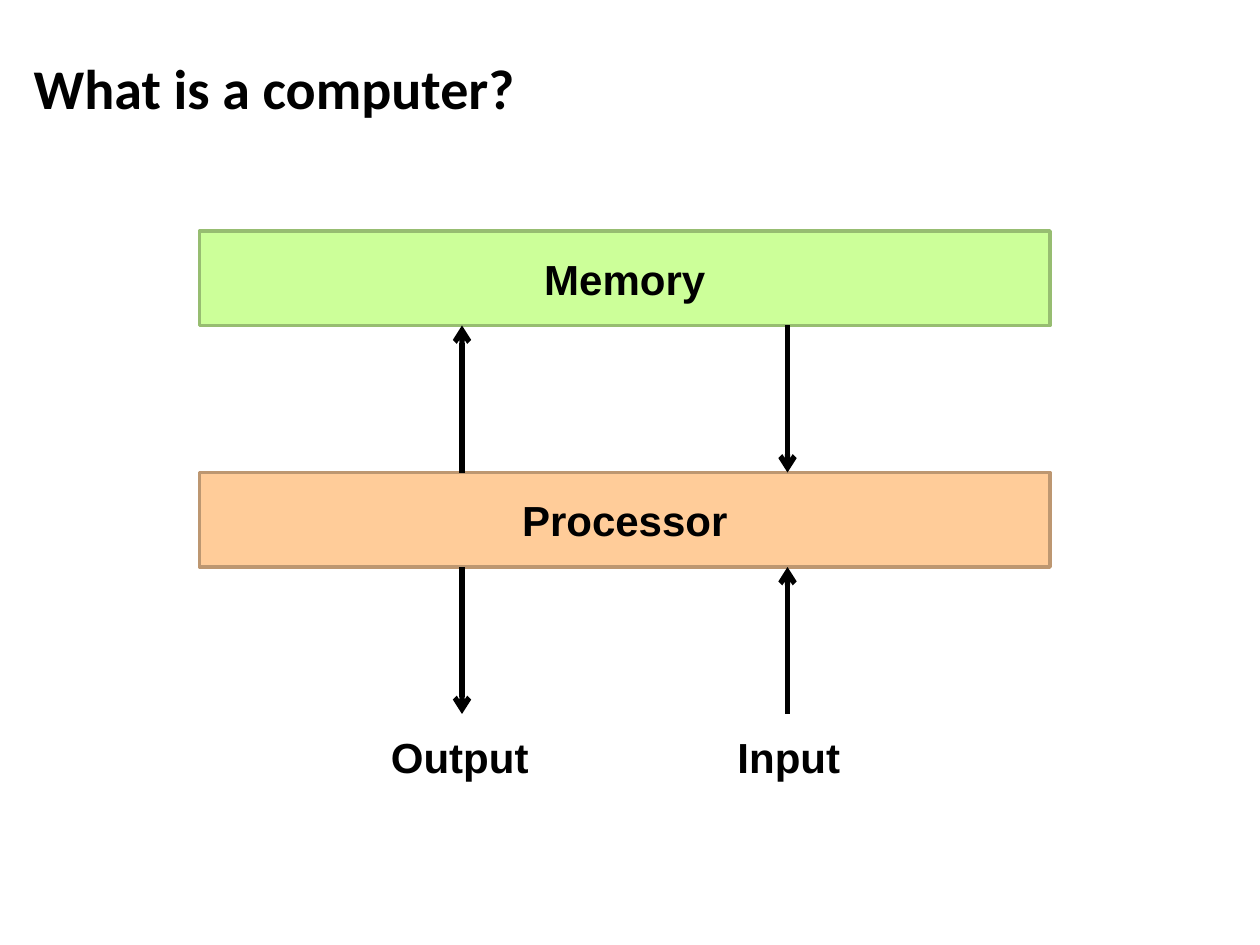
from dataclasses import dataclass

from lxml import etree
from pptx import Presentation
from pptx.dml.color import RGBColor
from pptx.enum import shapes, text
from pptx.oxml.ns import qn
from pptx.util import Pt


@dataclass(frozen=True)
class Theme:
    ink: str = "000000"
    memory: tuple = ("CCFF99", "97BD71")  # fill, border
    processor: tuple = ("FFCC99", "BD9771")
    title_font: str = "Calibri"
    body_font: str = "Arial"
    title_size: int = 32
    body_size: int = 24
    border: int = 2
    arrow: int = 3


THEME = Theme()
LEFT, WIDTH, HEIGHT = 114, 486, 54
MEMORY_TOP, PROCESSOR_TOP = 132, 270
MEMORY_BOTTOM, PROCESSOR_BOTTOM = MEMORY_TOP + HEIGHT, PROCESSOR_TOP + HEIGHT
OUTPUT_X, INPUT_X = 264, 450
ARROW_END = 408


def write(tf, words, font, size, align):
    tf.vertical_anchor = text.MSO_ANCHOR.MIDDLE
    p = tf.paragraphs[0]
    p.alignment = align
    r = p.add_run()
    r.text = words
    for name, value in {"name": font, "size": Pt(size), "bold": True}.items():
        setattr(r.font, name, value)
    r.font.color.rgb = RGBColor.from_string(THEME.ink)


def write_label(tf, words):
    write(tf, words, THEME.body_font, THEME.body_size, text.PP_ALIGN.CENTER)


def add_title(s, words):
    sp = s.shapes.title
    box = {"left": 12, "top": 9, "width": 684, "height": 81}
    for name, value in box.items():
        setattr(sp, name, Pt(value))
    write(sp.text_frame, words, THEME.title_font, THEME.title_size,
          text.PP_ALIGN.LEFT)


def add_block(s, words, top, colours):
    sp = s.shapes.add_shape(shapes.MSO_SHAPE.RECTANGLE,
                            Pt(LEFT), Pt(top), Pt(WIDTH), Pt(HEIGHT))
    fill, border = colours
    sp.shadow.inherit = False
    sp.fill.solid()
    sp.fill.fore_color.rgb = RGBColor.from_string(fill)
    sp.line.color.rgb = RGBColor.from_string(border)
    sp.line.width = Pt(THEME.border)
    write_label(sp.text_frame, words)


def add_arrow(s, x, start, end):
    sp = s.shapes.add_connector(shapes.MSO_CONNECTOR.STRAIGHT,
                                Pt(x), Pt(start), Pt(x), Pt(end))
    sp.line.color.rgb = RGBColor.from_string(THEME.ink)
    sp.line.width = Pt(THEME.arrow)
    etree.SubElement(sp.line._get_or_add_ln(), qn("a:tailEnd"), type="arrow")
    etree.SubElement(sp._element.spPr, qn("a:effectLst"))


def add_caption(s, words, left, width):
    sp = s.shapes.add_textbox(Pt(left), Pt(414), Pt(width), Pt(36.5))
    tf = sp.text_frame
    tf.word_wrap = False
    tf.auto_size = text.MSO_AUTO_SIZE.SHAPE_TO_FIT_TEXT
    write_label(tf, words)


def main():
    prs = Presentation()
    prs.slide_width, prs.slide_height = Pt(720), Pt(540)
    s = prs.slides.add_slide(prs.slide_layouts.get_by_name("Title Only"))
    add_title(s, "What is a computer?")

    # Machine parts
    add_block(s, "Memory", MEMORY_TOP, THEME.memory)
    add_block(s, "Processor", PROCESSOR_TOP, THEME.processor)

    # Data flow
    add_arrow(s, OUTPUT_X, PROCESSOR_TOP, MEMORY_BOTTOM)
    add_arrow(s, INPUT_X, MEMORY_BOTTOM, PROCESSOR_TOP)
    add_arrow(s, INPUT_X, ARROW_END, PROCESSOR_BOTTOM)
    add_arrow(s, OUTPUT_X, PROCESSOR_BOTTOM, ARROW_END)

    # Outside world
    add_caption(s, "Output", 216, 93.5)
    add_caption(s, "Input", 414, 73.5)

    prs.save("out.pptx")


if __name__ == "__main__":
    main()
